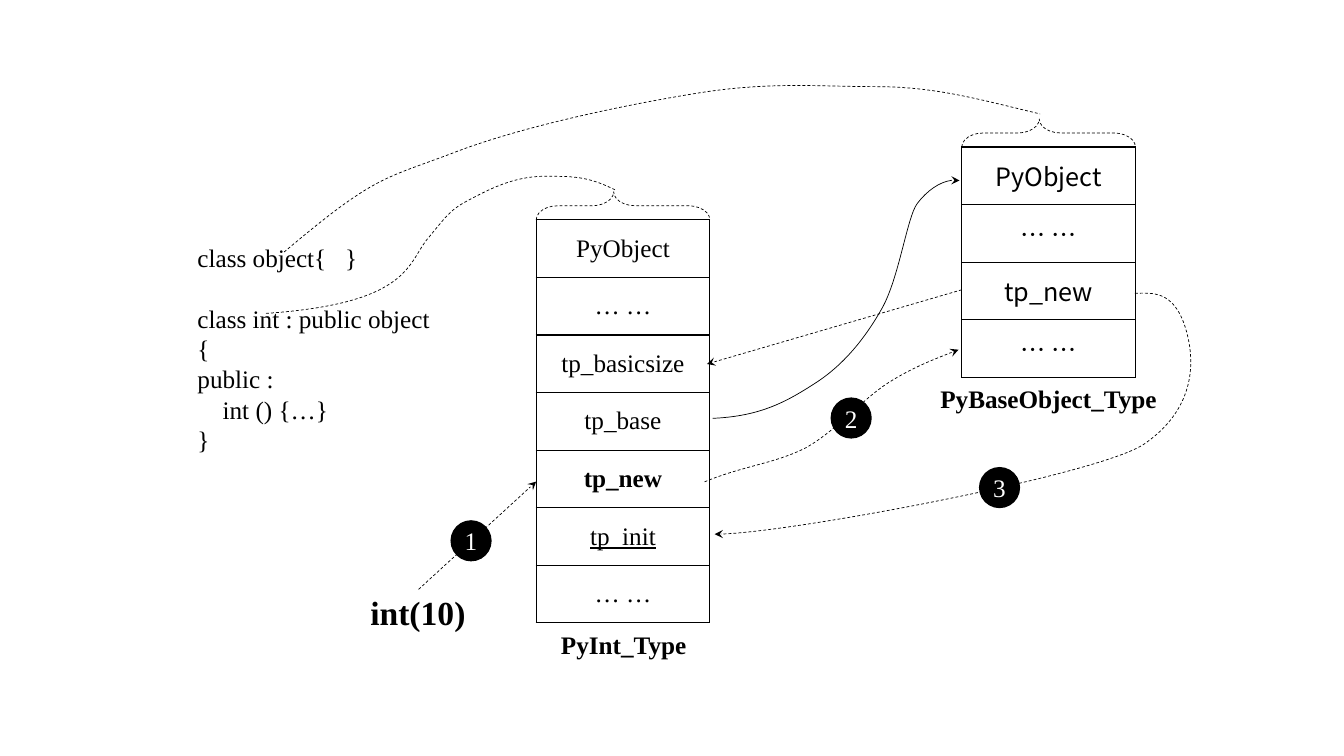
from lxml.etree import SubElement
from pptx import Presentation
from pptx.dml.color import RGBColor
from pptx.enum.dml import MSO_LINE
from pptx.enum.shapes import MSO_CONNECTOR, MSO_SHAPE
from pptx.enum.text import MSO_ANCHOR, PP_ALIGN
from pptx.oxml.ns import qn
from pptx.util import Pt

BLACK = RGBColor(0, 0, 0)
WHITE = RGBColor(255, 255, 255)
SERIF = "Times New Roman"
SANS = "Noto Sans CJK SC"

# Code lines: text, left indent, space before
CODE_BOX = (134, 154, 240.5, 190)
CODE_LEADING = 21.6
CODE = [
    ("class object{   }", 0, 0),
    ("class int : public object", 0, CODE_LEADING),
    ("{", 0, 0),
    ("public :", 0, 0),
    ("int () {…}", 18, 0),
    ("}", 0, 0),
]

# Type structures: left, top, font, slots
COLUMN_WIDTH, ROW_HEIGHT = 124, 41.14
TYPE_STRUCTS = [
    (383, 157, SERIF, ["PyObject", "… …", "tp_basicsize", "tp_base",
                       "tp_new", "tp_init", "… …"]),
    (687, 105, SANS, ["PyObject", "… …", "tp_new", "… …"]),
]
SLOT_STYLES = {(SERIF, "tp_new"): {"bold": True},
               (SERIF, "tp_init"): {"underline": True}}

LABELS = [
    ("int(10)", (251, 421, 95, 33), 24),
    ("PyInt_Type", (391, 445, 109, 31), 18),
    ("PyBaseObject_Type", (662, 269, 174, 31), 18),
]

STRAIGHT_ARROWS = [((299, 421), (383, 344)), ((687, 207), (505, 260))]

# Each curve: start point, then three points per Bezier segment
OBJECT_LINK = [
    (203, 180), (267.8, 125.3), (273.6, 128.2), (323.3, 109.4),
    (373, 90), (450, 74.2), (500.4, 66.2),
    (550.8, 58.3), (586.1, 61.9), (625, 61.9),
    (668.2, 61.9), (697.7, 70.6), (743, 81.4),
]
INT_LINK = [
    (190, 223.9), (294.5, 216.7), (290.9, 187.2), (306, 169.9),
    (320.4, 152.6), (321.8, 149.8), (335.5, 142.6),
    (349.2, 135.4), (365.8, 126.7), (386.6, 126),
    (408.2, 126), (419, 125.3), (440, 136),
]
BASE_ARROW = [
    (509, 298.8), (543.6, 297.4), (562.3, 286.6), (582.5, 273.6),
    (602.6, 260.6), (617.8, 241.9), (630, 220.3),
    (642.2, 198.7), (648, 154.8), (655.2, 145.4),
    (662.4, 136), (675.4, 126.7), (685.4, 128.9),
]
BASE_NEW_ARROW = [
    (503.3, 344.2), (531.4, 332.6), (553.7, 331.2), (576, 319.7),
    (597.6, 307.4), (616.3, 285.1), (634.3, 273.6),
    (652.3, 262.1), (684.7, 249.8), (684.7, 249.8),
]
INIT_ARROW = [
    (810.7, 209.5), (822.2, 209.5), (838.1, 206.6), (846.7, 234),
    (855.4, 262.1), (851, 293.8), (817.9, 316.8),
    (788.4, 338.4), (556.6, 382.3), (510.5, 381.6),
]
# Points, dashed, arrow
CURVES = [(OBJECT_LINK, True, False), (INT_LINK, True, False),
          (BASE_ARROW, False, True), (BASE_NEW_ARROW, True, True),
          (INIT_ARROW, True, True)]

BRACE_DEPTH = 20
STEP_SIZE = 28.4
STEP_CENTERS = [(336.5, 386.3), (608, 298.6), (714, 348.3)]


def points(*lengths):
    return [Pt(length) for length in lengths]


def add_text(paragraph, text, font=SERIF, size=18, color=BLACK, **style):
    run = paragraph.add_run()
    run.text = text
    run.font.name = font
    run.font.size = Pt(size)
    run.font.color.rgb = color
    for attribute, setting in style.items():
        setattr(run.font, attribute, setting)


def style_line(line, dashed=True, arrow=False):
    line.color.rgb = BLACK
    line.width = Pt(0.5)
    if dashed:
        line.dash_style = MSO_LINE.DASH
    if arrow:
        SubElement(line._get_or_add_ln(), qn("a:tailEnd"), type="stealth")


def add_text_frame(box):
    frame = slide.shapes.add_textbox(*points(*box)).text_frame
    frame.word_wrap = True
    frame.vertical_anchor = MSO_ANCHOR.MIDDLE
    return frame


def add_code():
    frame = add_text_frame(CODE_BOX)
    for number, (text, indent, gap) in enumerate(CODE):
        paragraph = frame.add_paragraph() if number else frame.paragraphs[0]
        paragraph.line_spacing = Pt(CODE_LEADING)
        paragraph.space_before = Pt(gap)
        paragraph._p.get_or_add_pPr().set("marL", str(Pt(indent)))
        add_text(paragraph, text)


def add_borders(cell):
    properties = cell._tc.get_or_add_tcPr()
    for side in ("lnL", "lnR", "lnT", "lnB"):
        border = SubElement(properties, qn(f"a:{side}"), w=str(Pt(1)))
        fill = SubElement(border, qn("a:solidFill"))
        SubElement(fill, qn("a:srgbClr"), val=str(BLACK))


def add_type_struct(left, top, font, slots):
    frame = slide.shapes.add_table(len(slots), 1, *points(
        left, top, COLUMN_WIDTH, ROW_HEIGHT * len(slots)))
    table = frame.table
    table.first_row = table.horz_banding = False
    for row, slot in enumerate(slots):
        table.rows[row].height = Pt(ROW_HEIGHT)
        cell = table.cell(row, 0)
        add_borders(cell)
        cell.fill.background()
        cell.vertical_anchor = MSO_ANCHOR.MIDDLE
        paragraph = cell.text_frame.paragraphs[0]
        paragraph.alignment = PP_ALIGN.CENTER
        add_text(paragraph, slot, font, **SLOT_STYLES.get((font, slot), {}))


def add_brace(left, top):
    """Add a brace that spans the column and points up from its top edge."""
    brace = slide.shapes.add_shape(MSO_SHAPE.LEFT_BRACE, *points(
        left + (COLUMN_WIDTH - BRACE_DEPTH) / 2,
        top - (BRACE_DEPTH + COLUMN_WIDTH) / 2, BRACE_DEPTH, COLUMN_WIDTH))
    brace.rotation = 90
    brace.adjustments[0], brace.adjustments[1] = 0.77, 0.554
    brace.shadow.inherit = False
    brace.fill.background()
    style_line(brace.line)


def add_curve(nodes, dashed, arrow):
    """Build the outline from its nodes, then join them as Bezier segments."""
    builder = slide.shapes.build_freeform(*points(*nodes[0]))
    builder.add_line_segments([points(*node) for node in nodes[1:]], close=False)
    curve = builder.convert_to_shape()
    outline = next(curve._element.iter(qn("a:path")))
    segments = outline.findall(qn("a:lnTo"))
    for start in range(0, len(segments), 3):
        bezier = SubElement(outline, qn("a:cubicBezTo"))
        for segment in segments[start:start + 3]:
            bezier.append(segment[0])
            outline.remove(segment)
    curve.shadow.inherit = False
    curve.fill.background()
    style_line(curve.line, dashed, arrow)


def add_step(number, x, y):
    step = slide.shapes.add_shape(MSO_SHAPE.OVAL, *points(
        x - STEP_SIZE / 2, y - STEP_SIZE / 2, STEP_SIZE, STEP_SIZE))
    step.shadow.inherit = False
    step.fill.solid()
    step.fill.fore_color.rgb = step.line.color.rgb = BLACK
    step.line.width = Pt(1)
    frame = step.text_frame
    frame.margin_left = frame.margin_right = frame.margin_top = frame.margin_bottom = 0
    frame.vertical_anchor = MSO_ANCHOR.MIDDLE
    frame.paragraphs[0].alignment = PP_ALIGN.CENTER
    add_text(frame.paragraphs[0], str(number), color=WHITE)


deck = Presentation()
deck.slide_width, deck.slide_height = points(960, 540)
slide = deck.slides.add_slide(deck.slide_layouts[6])

add_code()
for left, top, font, slots in TYPE_STRUCTS:
    add_type_struct(left, top, font, slots)
    add_brace(left, top)
for text, box, size in LABELS:
    paragraph = add_text_frame(box).paragraphs[0]
    paragraph.alignment = PP_ALIGN.CENTER
    add_text(paragraph, text, size=size, bold=True)
for start, end in STRAIGHT_ARROWS:
    connector = slide.shapes.add_connector(
        MSO_CONNECTOR.STRAIGHT, *points(*start, *end))
    style_line(connector.line, arrow=True)
    SubElement(connector._element.spPr, qn("a:effectLst"))
for curve in CURVES:
    add_curve(*curve)
for number, center in enumerate(STEP_CENTERS, 1):
    add_step(number, *center)

deck.save("out.pptx")
